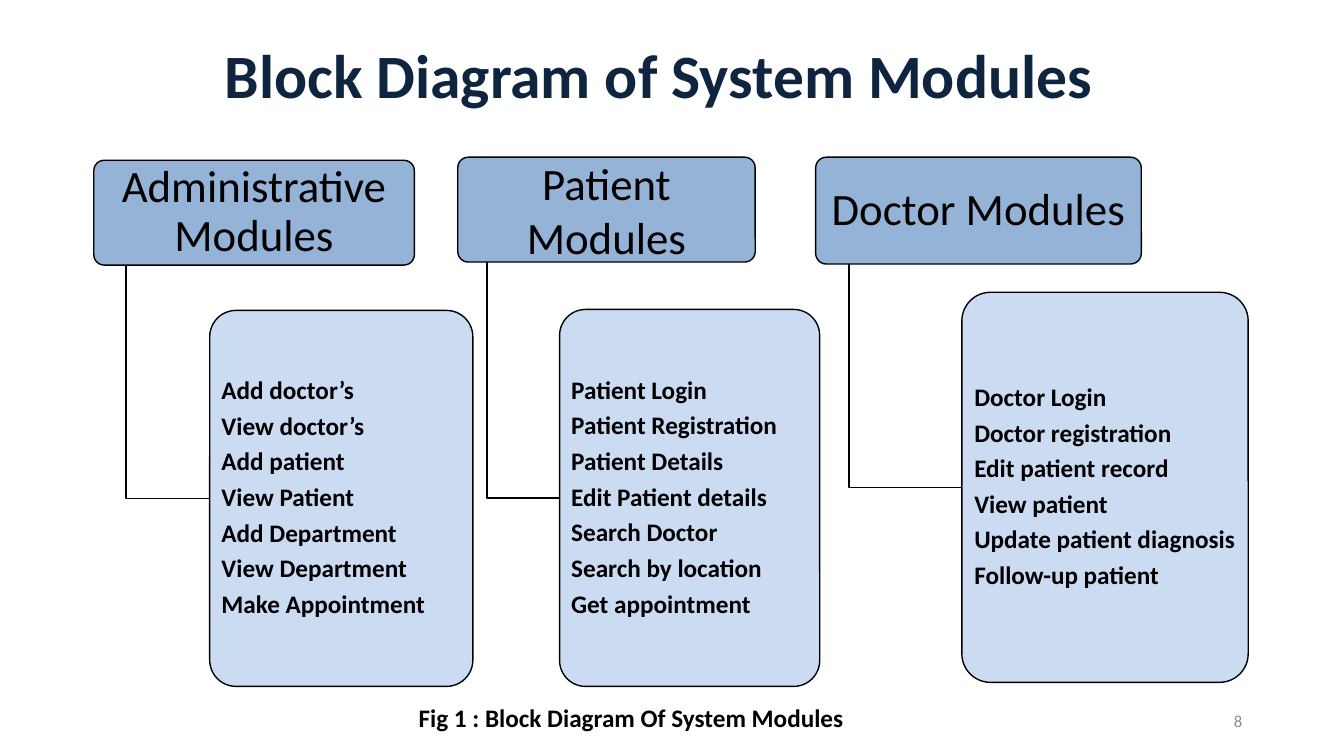
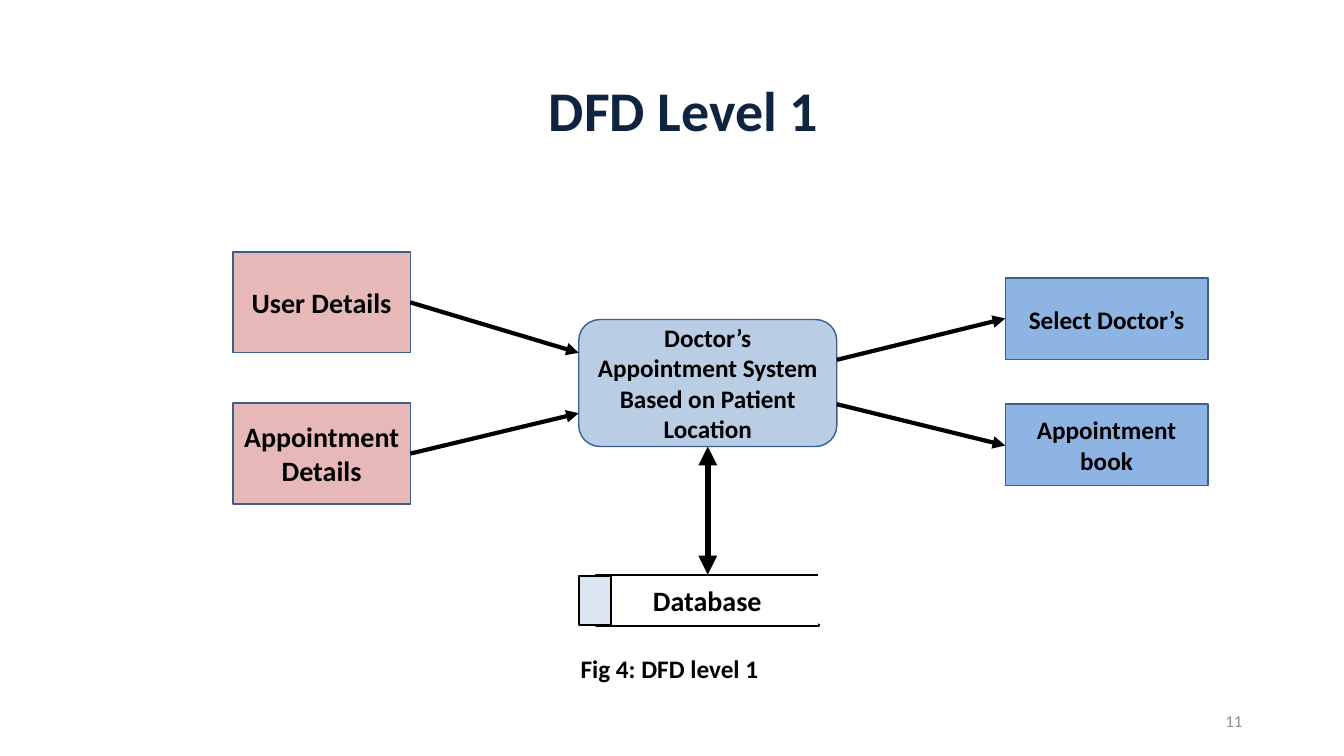
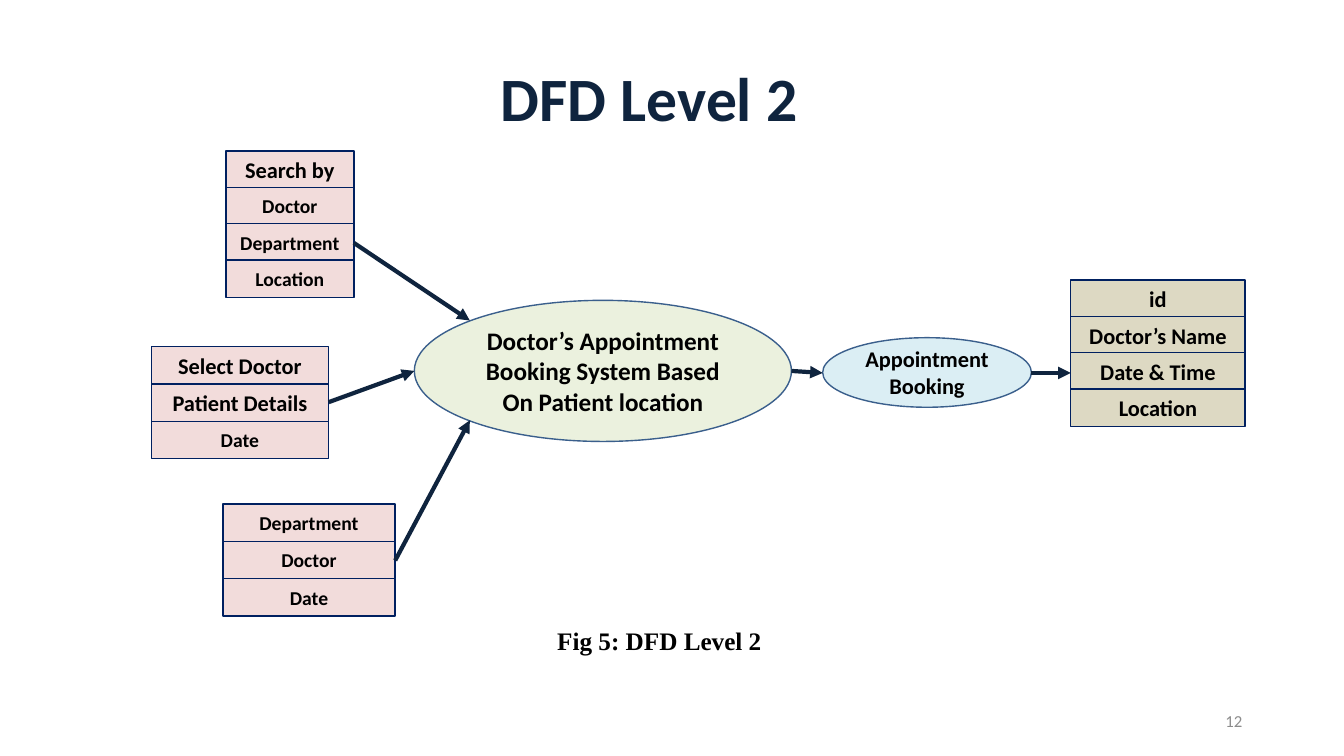
import dataclasses

import pptx
import pptx.dml.color
import pptx.enum.shapes
import pptx.enum.text
import pptx.oxml
import pptx.oxml.ns
import pptx.util

Inches = pptx.util.Inches
Pt = pptx.util.Pt
RGB = pptx.dml.color.RGBColor.from_string
SHAPE = pptx.enum.shapes.MSO_SHAPE
ALIGN = pptx.enum.text.PP_ALIGN
MIDDLE = pptx.enum.text.MSO_ANCHOR.MIDDLE
qn = pptx.oxml.ns.qn


@dataclasses.dataclass(frozen=True)
class Theme:
    font: str = "Calibri"
    serif: str = "Times New Roman"
    navy: str = "0F243E"
    black: str = "000000"
    white: str = "FFFFFF"
    gray: str = "8C8C8C"
    outline: str = "3A5F8C"
    row_outline: str = "002060"
    module: str = "95B3D7"
    features: str = "C6D9F1"
    system: str = "B9CDE5"
    source: str = "E6B9B8"
    result: str = "8EB4E3"
    store: str = "DCE6F2"
    booking_system: str = "EBF1DE"
    booking: str = "DBEEF4"
    input_row: str = "F2DCDB"
    output_row: str = "DDD9C3"
    title: int = 44
    title_small: int = 40
    heading: int = 32
    large: int = 20
    body: int = 18
    label: int = 16
    small: int = 14
    number: int = 12


T = Theme()


def write(tf, text, size=T.body, color=T.black, font=T.font, bold=True,
          align=ALIGN.CENTER, spacing=None, after=None, inset=(0.1, 0.05)):
    """Fill a text frame, one paragraph for each line of text."""
    tf.word_wrap = True
    tf.vertical_anchor = MIDDLE
    tf.margin_left = tf.margin_right = Inches(inset[0])
    tf.margin_top = tf.margin_bottom = Inches(inset[1])
    for i, line in enumerate(text.split("\n")):
        p = tf.add_paragraph() if i else tf.paragraphs[0]
        p.alignment = align
        if spacing:
            p.line_spacing = spacing
        if after:
            p.space_after = Pt(after)
        r = p.add_run()
        r.text = line
        r.font.name, r.font.size, r.font.bold = font, Pt(size), bold
        r.font.color.rgb = RGB(color)


def box(s, kind, at, fill, line=T.outline, width=1, text="", **fmt):
    sp = s.shapes.add_shape(kind, *map(Inches, at))
    sp.shadow.inherit = False
    sp.fill.solid()
    sp.fill.fore_color.rgb = RGB(fill)
    sp.line.color.rgb = RGB(line)
    sp.line.width = Pt(width)
    if text:
        write(sp.text_frame, text, **fmt)
    return sp


prs = pptx.Presentation()
prs.slide_width, prs.slide_height = Inches(13.33), Inches(7.5)

# Title, caption and number of every slide
frames = [
    ("Block Diagram of System Modules", (0.73, 0, 11.61, 1.56), T.title,
     "Fig 1 : Block Diagram Of System Modules", (4.01, 6.92), T.font, "8"),
    ("DFD Level 1", (1.03, 0.4, 11.5, 1.45), T.title_small,
     "Fig 4: DFD level 1", (4.39, 6.43), T.font, "11"),
    ("DFD Level 2", (0.69, 0.12, 11.5, 1.78), T.title,
     "Fig 5: DFD Level 2", (4.29, 6.15), T.serif, "12"),
]
for title, at, size, caption, corner, font, number in frames:
    s = prs.slides.add_slide(prs.slide_layouts[5])
    sp = s.shapes.title
    sp.left, sp.top, sp.width, sp.height = map(Inches, at)
    write(sp.text_frame, title, size=size, color=T.navy, spacing=0.9)
    sp = s.shapes.add_textbox(*map(Inches, (*corner, 4.5, 0.4)))
    write(sp.text_frame, caption, font=font)
    sp = s.shapes.add_textbox(*map(Inches, (9.42, 6.95, 3, 0.4)))
    write(sp.text_frame, number, size=T.number, color=T.gray, bold=False,
          align=ALIGN.RIGHT)
modules_slide, level1, level2 = prs.slides

# System modules: heading, elbow line and feature list
modules = [
    ("Administrative Modules", (0.93, 1.59, 3.18, 1.04), 0.9,
     (2.08, 3.08, 2.61, 3.73), 1.25,
     "Add doctor’s\nView doctor’s\nAdd patient\nView Patient\n"
     "Add Department\nView Department\nMake Appointment"),
    ("Patient Modules", (4.54, 1.56, 2.95, 1.04), 1.0,
     (5.55, 3.07, 2.58, 3.74), 4.83,
     "Patient Login\nPatient Registration\nPatient Details\n"
     "Edit Patient details\nSearch Doctor\nSearch by location\n"
     "Get appointment"),
    ("Doctor Modules", (8.09, 1.56, 3.23, 1.06), 0.9,
     (9.54, 2.9, 2.84, 3.87), 8.42,
     "Doctor Login\nDoctor registration\nEdit patient record\n"
     "View patient\nUpdate patient diagnosis\nFollow-up patient"),
]
for name, head_at, spacing, list_at, elbow_x, features in modules:
    head = box(modules_slide, SHAPE.ROUNDED_RECTANGLE, head_at, T.module,
               T.black, text=name, size=T.heading, bold=False,
               spacing=spacing, inset=(0.07, 0.04))
    bottom, middle = head_at[1] + head_at[3], list_at[1] + list_at[3] / 2
    fb = modules_slide.shapes.build_freeform(Inches(elbow_x), Inches(bottom))
    fb.add_line_segments([(Inches(elbow_x), Inches(middle)),
                          (Inches(list_at[0]), Inches(middle))], close=False)
    elbow = fb.convert_to_shape()
    elbow.shadow.inherit = False
    elbow.fill.background()
    elbow.line.color.rgb = RGB(T.black)
    elbow.line.width = Pt(1)
    panel = box(modules_slide, SHAPE.ROUNDED_RECTANGLE, list_at, T.features,
                T.black, text=features, align=ALIGN.LEFT, spacing=0.9,
                after=6, inset=(0.04, 0.03))
    head.adjustments[0] = panel.adjustments[0] = 0.1
    color = panel.element.spPr.find(qn("a:solidFill")).find(qn("a:srgbClr"))
    color.append(pptx.oxml.parse_xml(
        f'<a:alpha {pptx.oxml.ns.nsdecls("a")} val="90000"/>'))

# DFD level 1: sources, system, results and data store
box(level1, SHAPE.ROUNDED_RECTANGLE, (5.74, 3.17, 2.56, 1.26), T.system,
    text="Doctor’s Appointment System Based on Patient Location")
for text, top in (("User Details", 2.5), ("Appointment Details", 4)):
    box(level1, SHAPE.RECTANGLE, (2.31, top, 1.76, 1), T.source,
        text=text, size=T.large)
for text, top in (("Select Doctor’s", 2.76), ("Appointment book", 4.01)):
    box(level1, SHAPE.RECTANGLE, (9.97, top, 2.01, 0.81), T.result, text=text)
box(level1, SHAPE.RECTANGLE, (5.91, 5.7, 2.21, 0.51), T.white, T.black, 1.5,
    text="Database", size=T.large)
box(level1, SHAPE.RECTANGLE, (5.74, 5.71, 0.32, 0.49), T.store, T.black, 1.5)
box(level1, SHAPE.RECTANGLE, (8.12, 5.69, 0.15, 0.49), T.white, T.white, 1.5)

# DFD level 2: processes and stacks of rows
box(level2, SHAPE.OVAL, (4.11, 2.98, 3.74, 1.4), T.booking_system,
    text="Doctor’s Appointment Booking System Based On Patient location")
box(level2, SHAPE.OVAL, (8.16, 3.35, 2.07, 0.69), T.booking,
    text="Appointment Booking", size=T.label)
stacks = [
    (2.24, 1.5, 1.27, 0.36, T.input_row,
     [("Search by", T.label), ("Doctor", T.small), ("Department", T.small),
      ("Location", T.small)]),
    (1.5, 3.44, 1.76, 0.37, T.input_row,
     [("Select Doctor", T.label), ("Patient Details", T.label),
      ("Date", T.small)]),
    (2.21, 5, 1.71, 0.37, T.input_row,
     [("Department", T.small), ("Doctor", T.small), ("Date", T.small)]),
    (10.62, 2.78, 1.73, 0.36, T.output_row,
     [("id", T.label), ("Doctor’s Name", T.label), ("Date & Time", T.label),
      ("Location", T.label)]),
]
for left, top, width, pitch, fill, rows in stacks:
    for i, (text, size) in enumerate(rows):
        box(level2, SHAPE.RECTANGLE, (left, top + i * pitch, width, 0.37),
            fill, T.row_outline, text=text, size=size)

# Arrows of both data flow diagrams
flows = [
    (level1, T.black, 3, ["tailEnd"], [
        (4.07, 3, 5.74, 3.5), (4.07, 4.5, 5.74, 4.1),
        (8.3, 4.01, 9.97, 4.42), (8.3, 3.57, 9.97, 3.16)]),
    (level1, T.black, 4.5, ["headEnd", "tailEnd"], [(7.02, 4.43, 7.02, 5.7)]),
    (level2, T.navy, 3, ["tailEnd"], [
        (3.51, 2.41, 4.66, 3.18), (3.92, 5.56, 4.66, 4.17),
        (3.26, 3.99, 4.11, 3.68), (7.85, 3.68, 8.16, 3.7),
        (10.23, 3.7, 10.62, 3.7)]),
]
for s, color, width, ends, arrows in flows:
    for ends_at in arrows:
        cn = s.shapes.add_connector(
            pptx.enum.shapes.MSO_CONNECTOR.STRAIGHT, *map(Inches, ends_at))
        cn.line.color.rgb = RGB(color)
        cn.line.width = Pt(width)
        spPr = cn.element.spPr
        for end in ends:
            spPr.find(qn("a:ln")).append(pptx.oxml.parse_xml(
                f'<a:{end} {pptx.oxml.ns.nsdecls("a")} type="triangle"/>'))
        spPr.append(pptx.oxml.parse_xml(
            f'<a:effectLst {pptx.oxml.ns.nsdecls("a")}/>'))

prs.save("out.pptx")
